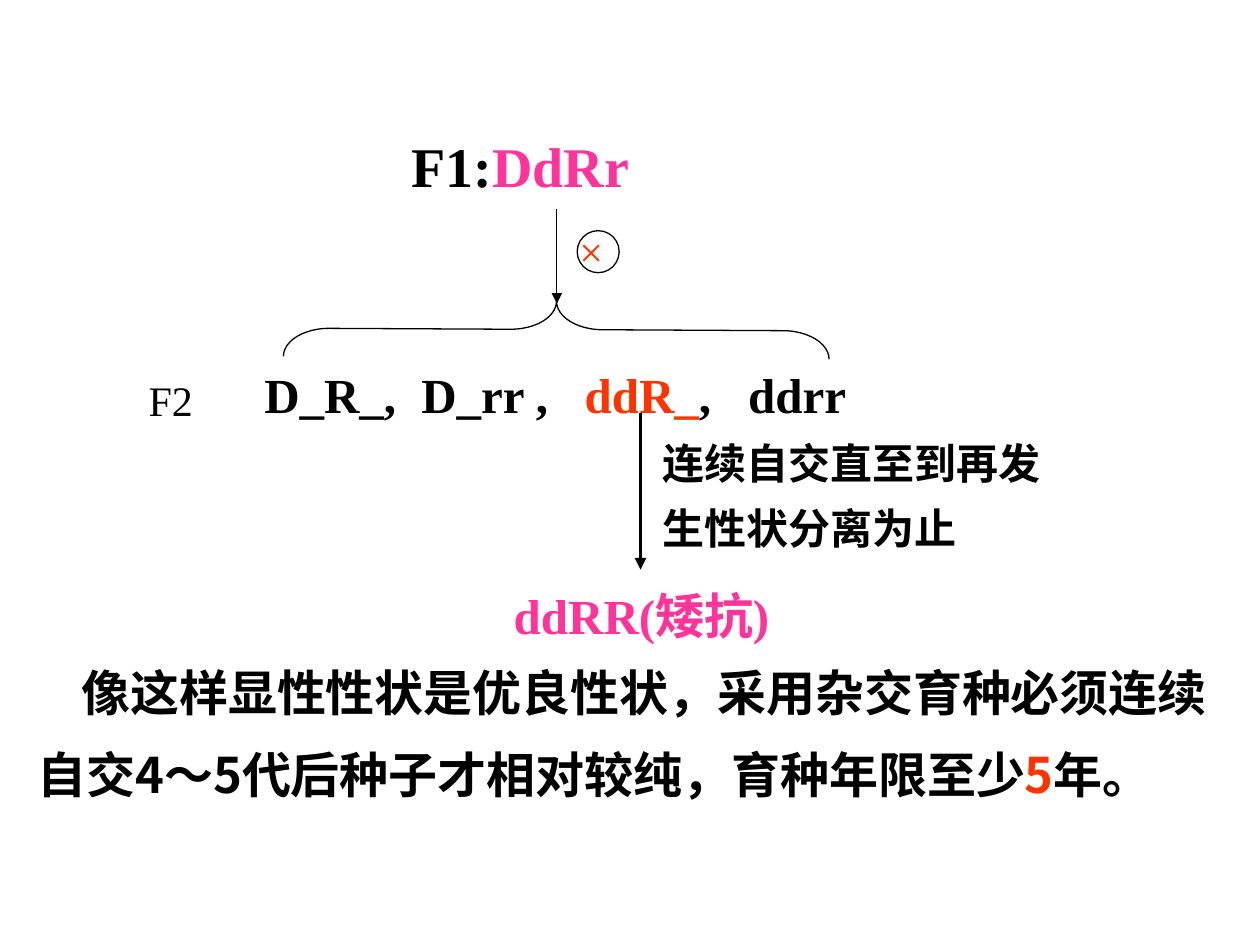
from lxml.etree import SubElement
from pptx import Presentation
from pptx.dml.color import RGBColor
from pptx.enum.shapes import MSO_CONNECTOR, MSO_SHAPE
from pptx.oxml.ns import qn
from pptx.util import Pt

BLACK = RGBColor(0x00, 0x00, 0x00)
PINK = RGBColor(0xFF, 0x33, 0x99)
RED = RGBColor(0xFF, 0x33, 0x00)
SERIF = "Times New Roman"
SANS = "Noto Sans CJK SC"

# box (left, top, width, height), size, bold, font, runs, paragraph options
TEXTS = [
    ((228, 71.5, 150, 45.5), 32, True, SERIF,
     [("F1:", BLACK), ("DdRr", PINK)], {}),
    ((144, 204.5, 354, 41), 28, True, SERIF,
     [("D_R_,\tD_rr ,\t", BLACK), ("ddR_", RED), (",\tddrr", BLACK)],
     {"tabs": (89.7, 183, 276.5)}),
    ((77.8, 210.5, 42, 36), 24, False, SERIF, [("F2", BLACK)], {}),
    ((324, 125.3, 38, 36), 24, False, SERIF, [("×", RED)], {"wrap": False}),
    ((371.5, 237.6, 232, 82), 24, True, SERIF,
     [("连续自交直至到再发生性状分离为止", BLACK)], {"spacing": 1.3}),
    ((286.5, 331.2, 174, 41), 28, True, SERIF, [("ddRR(矮抗)", PINK)], {}),
    ((14.4, 361.5, 689, 101.5), 28, True, SANS,
     [("像这样显性性状是优良性状，采用杂交育种必须连续自交4～5代后种子才相对较纯，育种年限至少", BLACK),
      ("5", RED), ("年。", BLACK)], {"spacing": 1.4, "indent": 25}),
]

# x, top, bottom, line width
ARROWS = [(318.2, 119.5, 173.5, 0.75), (366, 236.2, 325.5, 2.25)]

# preset, box, rotation, adjustments
OUTLINES = [
    (MSO_SHAPE.LEFT_BRACE, (301.7, 32.4, 32.4, 311.8), 90.3, (0.81, 0.5)),
    (MSO_SHAPE.OVAL, (329.8, 131.8, 24, 24), 0, ()),
]


def add_text(s, box, size, bold, font, runs, tabs=(), spacing=None, indent=0, wrap=True):
    tf = s.shapes.add_textbox(*map(Pt, box)).text_frame
    tf.word_wrap = wrap
    p = tf.paragraphs[0]
    if spacing:
        p.line_spacing = spacing
    pPr = p._p.get_or_add_pPr()
    if indent:
        pPr.set("indent", str(Pt(indent)))
    if tabs:
        tab_list = SubElement(pPr, qn("a:tabLst"))
        for pos in tabs:
            SubElement(tab_list, qn("a:tab"), pos=str(Pt(pos)), algn="l")
    for text, color in runs:
        r = p.add_run()
        r.text = text
        r.font.size = Pt(size)
        r.font.bold = bold
        r.font.color.rgb = color
        r.font.name = font
        SubElement(r._r.get_or_add_rPr(), qn("a:ea"), typeface=SANS)


def add_arrow(s, x, top, bottom, width):
    c = s.shapes.add_connector(MSO_CONNECTOR.STRAIGHT, Pt(x), Pt(top), Pt(x), Pt(bottom))
    c.line.color.rgb = BLACK
    c.line.width = Pt(width)
    SubElement(c.line._get_or_add_ln(), qn("a:tailEnd"), type="triangle")
    SubElement(c._element.spPr, qn("a:effectLst"))


def add_outline(s, preset, box, rotation, adjustments):
    sp = s.shapes.add_shape(preset, *map(Pt, box))
    sp.shadow.inherit = False
    sp.fill.background()
    sp.line.color.rgb = BLACK
    sp.line.width = Pt(0.75)
    sp.rotation = rotation
    for i, value in enumerate(adjustments):
        sp.adjustments[i] = value


def main():
    prs = Presentation()
    prs.slide_width, prs.slide_height = Pt(720), Pt(540)
    s = prs.slides.add_slide(prs.slide_layouts[6])
    for outline in OUTLINES:
        add_outline(s, *outline)
    for arrow in ARROWS:
        add_arrow(s, *arrow)
    for *text, options in TEXTS:
        add_text(s, *text, **options)
    prs.save("out.pptx")


if __name__ == "__main__":
    main()
